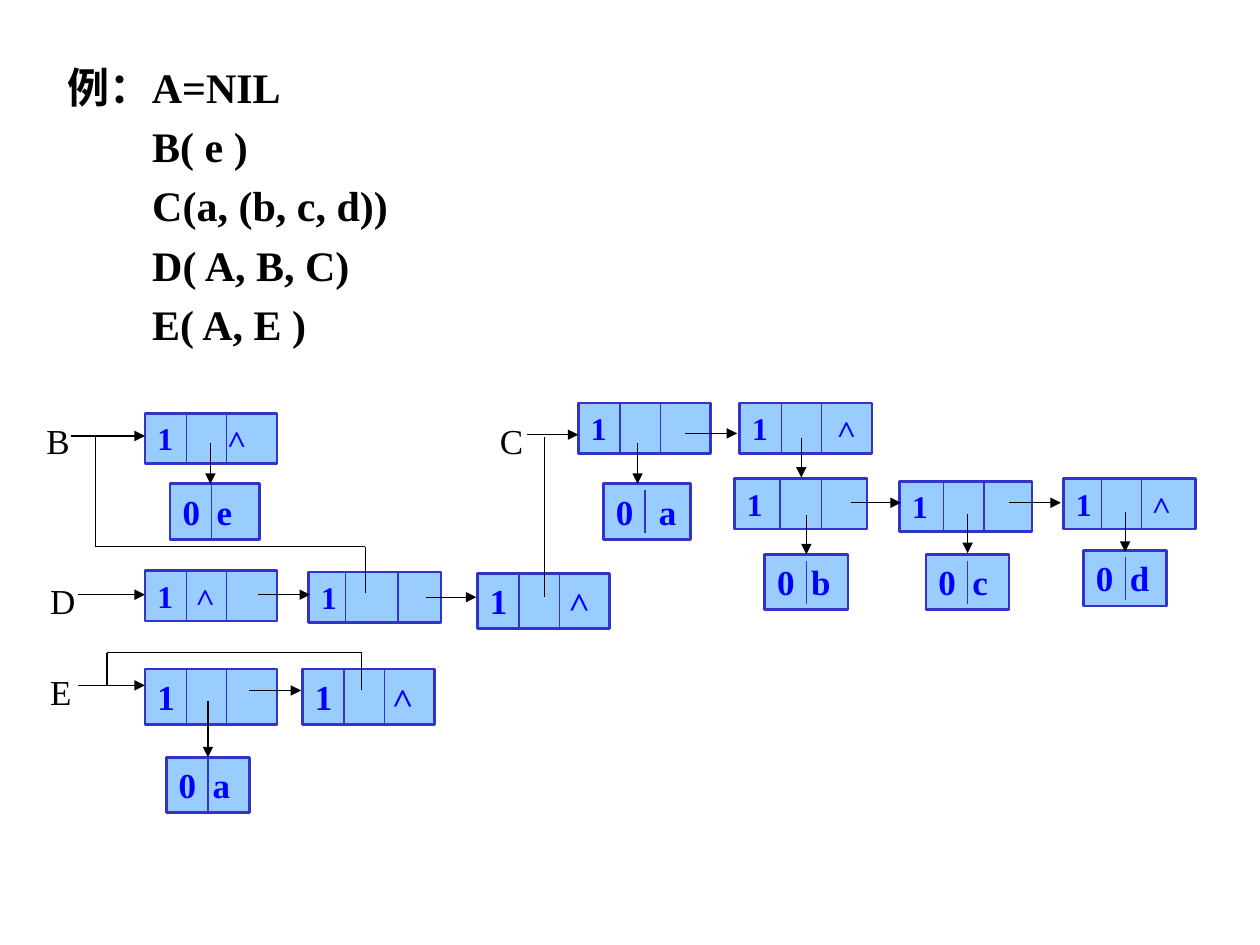
from itertools import pairwise

from lxml import etree
from pptx import Presentation, util as u
from pptx.dml.color import RGBColor
from pptx.enum import shapes, text
from pptx.oxml import ns

BLACK = RGBColor(0x00, 0x00, 0x00)
WHITE = RGBColor(0xFF, 0xFF, 0xFF)
INK = RGBColor(0x00, 0x00, 0xFF)
EDGE = RGBColor(0x33, 0x33, 0xCC)
CELL = RGBColor(0x99, 0xCC, 0xFF)


class ListDiagram:
    """Draws the boxes, pointers and labels of generalized lists."""

    font = "Times New Roman"

    def __init__(self, slide):
        self.s = slide

    def add_words(self, p, words, size, color, bold=True):
        r = p.add_run()
        r.text = words
        style = {"name": self.font, "size": u.Pt(size), "bold": bold}
        for name, value in style.items():
            setattr(r.font, name, value)
        r.font.color.rgb = color

    def indent(self, p, left):
        p._p.get_or_add_pPr().set("marL", str(u.Inches(left)))

    def tab_stop(self, p, pos):
        tabs = etree.SubElement(p._p.get_or_add_pPr(), ns.qn("a:tabLst"))
        etree.SubElement(tabs, ns.qn("a:tab"), pos=str(u.Inches(pos)), algn="l")

    def line(self, x1, y1, x2, y2, color=BLACK, arrow=False):
        sp = self.s.shapes.add_connector(
            shapes.MSO_CONNECTOR.STRAIGHT, *map(u.Inches, (x1, y1, x2, y2)))
        sp.line.color.rgb = color
        sp.line.width = u.Pt(0.75)
        if arrow:
            ln = sp._element.spPr.find(ns.qn("a:ln"))
            etree.SubElement(ln, ns.qn("a:tailEnd"), type="triangle")
        etree.SubElement(sp._element.spPr, ns.qn("a:effectLst"))

    def route(self, *points):
        for start, end in pairwise(points):
            self.line(*start, *end)

    def box(self, x, y, w, h, words, size, tab, dividers, pad=0):
        sp = self.s.shapes.add_shape(
            shapes.MSO_SHAPE.RECTANGLE, *map(u.Inches, (x, y, w, h)))
        sp.shadow.inherit = False
        sp.fill.solid()
        sp.fill.fore_color.rgb = CELL
        sp.line.color.rgb = EDGE
        sp.line.width = u.Pt(1.5)
        tf = sp.text_frame
        frame = {"word_wrap": True, "margin_right": 0,
                 "vertical_anchor": text.MSO_ANCHOR.TOP}
        for name, value in frame.items():
            setattr(tf, name, value)
        p = tf.paragraphs[0]
        p.alignment = text.PP_ALIGN.LEFT
        if tab:
            self.tab_stop(p, tab)
        self.add_words(p, words, size, INK)
        for dx in dividers:
            self.line(x + dx, y + pad, x + dx, y + h - pad, EDGE)

    def node(self, x, y, nil_at=None, size=18, dividers=(0.33, 0.65)):
        """List node: tag 1, head and tail; nil_at places the empty mark."""
        words = "1\t˄" if nil_at else "1"
        self.box(x, y, 1.05, 0.4 if size == 18 else 0.44, words, size, nil_at, dividers)

    def atom(self, x, y, letter, w=0.66, tab=0.27, pad=0):
        self.box(x, y, w, 0.44, f"0\t{letter}", 20, tab, [0.33], pad)

    def textbox(self, x, y, w, h):
        sp = self.s.shapes.add_textbox(*map(u.Inches, (x, y, w, h)))
        sp.text_frame.word_wrap = True
        return sp

    def label(self, x, y, name):
        tf = self.textbox(x, y, 0.34, 0.36).text_frame
        self.add_words(tf.paragraphs[0], name, 20, BLACK, bold=False)

    def definitions(self, first, *others):
        sp = self.textbox(0.44, 0.44, 2.93, 2.44)
        sp.fill.solid()
        sp.fill.fore_color.rgb = WHITE
        tf = sp.text_frame
        for i, words in enumerate((first, *others)):
            p = tf.add_paragraph() if i else tf.paragraphs[0]
            p.space_before = u.Pt(5)
            if i:
                self.indent(p, 0.67)
            self.add_words(p, words, 24, BLACK)


def main():
    prs = Presentation()
    prs.slide_width, prs.slide_height = u.Inches(10), u.Inches(7.5)
    d = ListDiagram(prs.slides.add_slide(prs.slide_layouts[6]))

    # List definitions
    d.definitions("例：A=NIL", "B( e )", "C(a, (b, c, d))", "D( A, B, C)", "E( A, E )")

    # List B
    d.node(1.15, 3.28, nil_at=0.56)
    d.atom(1.35, 3.84, "e", w=0.71)

    # List C, with the sublist (b, c, d) below it
    d.node(4.59, 3.2)
    d.node(5.87, 3.2, nil_at=0.68)
    d.atom(4.79, 3.84, "a", w=0.69, tab=0.34, pad=0.05)
    d.node(5.83, 3.8, dividers=(0.36, 0.69))
    d.node(7.14, 3.82, dividers=(0.35, 0.67))
    d.node(8.44, 3.8, nil_at=0.61, dividers=(0.3, 0.62))
    for x, y, letter in ((6.07, 4.4, "b"), (7.35, 4.4, "c"), (8.6, 4.37, "d")):
        d.atom(x, y, letter, pad=0.05)

    # List D
    d.node(1.15, 4.53, nil_at=0.31)
    d.node(2.45, 4.54, dividers=(0.29, 0.71))
    d.node(3.79, 4.55, nil_at=0.63, size=20)

    # List E
    d.node(1.15, 5.31, size=20)
    d.node(2.4, 5.31, nil_at=0.62, size=20)
    d.atom(1.32, 6.01, "a")

    # Names
    for x, y, name in ((0.27, 3.28, "B"), (3.87, 3.28, "C"),
                       (0.3, 4.55, "D"), (0.3, 5.27, "E")):
        d.label(x, y, name)

    # Pointers to the right: from the names, then between nodes
    for x1, x2, y in ((0.56, 1.15, 3.46), (4.18, 4.59, 3.45),
                      (0.62, 1.15, 4.72), (0.62, 1.15, 5.44),
                      (5.44, 5.85, 3.44), (6.75, 7.15, 3.99), (8.01, 8.42, 3.99),
                      (2.05, 2.46, 4.72), (3.38, 3.78, 4.74), (1.98, 2.39, 5.48)):
        d.line(x1, y, x2, y, arrow=True)

    # Pointers down to atoms and to the sublist
    for x, y1, y2 in ((1.67, 3.52, 3.84), (5.06, 3.52, 3.84), (6.36, 3.48, 3.79),
                      (6.4, 4.09, 4.4), (7.68, 4.08, 4.39), (8.93, 4.06, 4.38),
                      (1.65, 5.56, 6.01)):
        d.line(x, y1, x, y2, arrow=True)

    # Links from D to B, from D to C, and from E to itself
    d.route((0.76, 3.47), (0.76, 4.34), (2.9, 4.34), (2.9, 4.71))
    d.route((4.32, 3.47), (4.32, 4.74))
    d.route((0.85, 5.44), (0.85, 5.18), (2.87, 5.18), (2.87, 5.48))

    prs.save("out.pptx")


if __name__ == "__main__":
    main()
